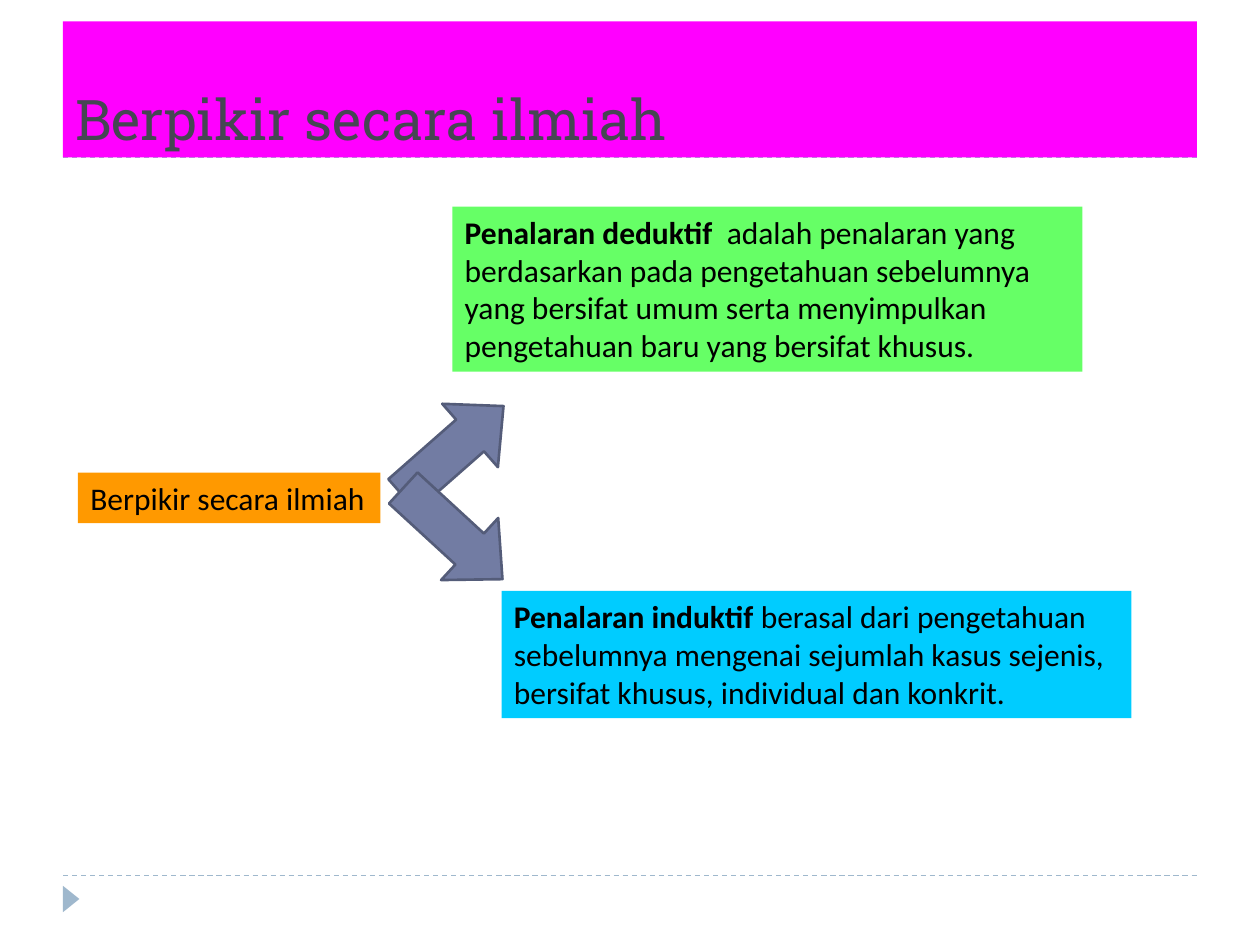
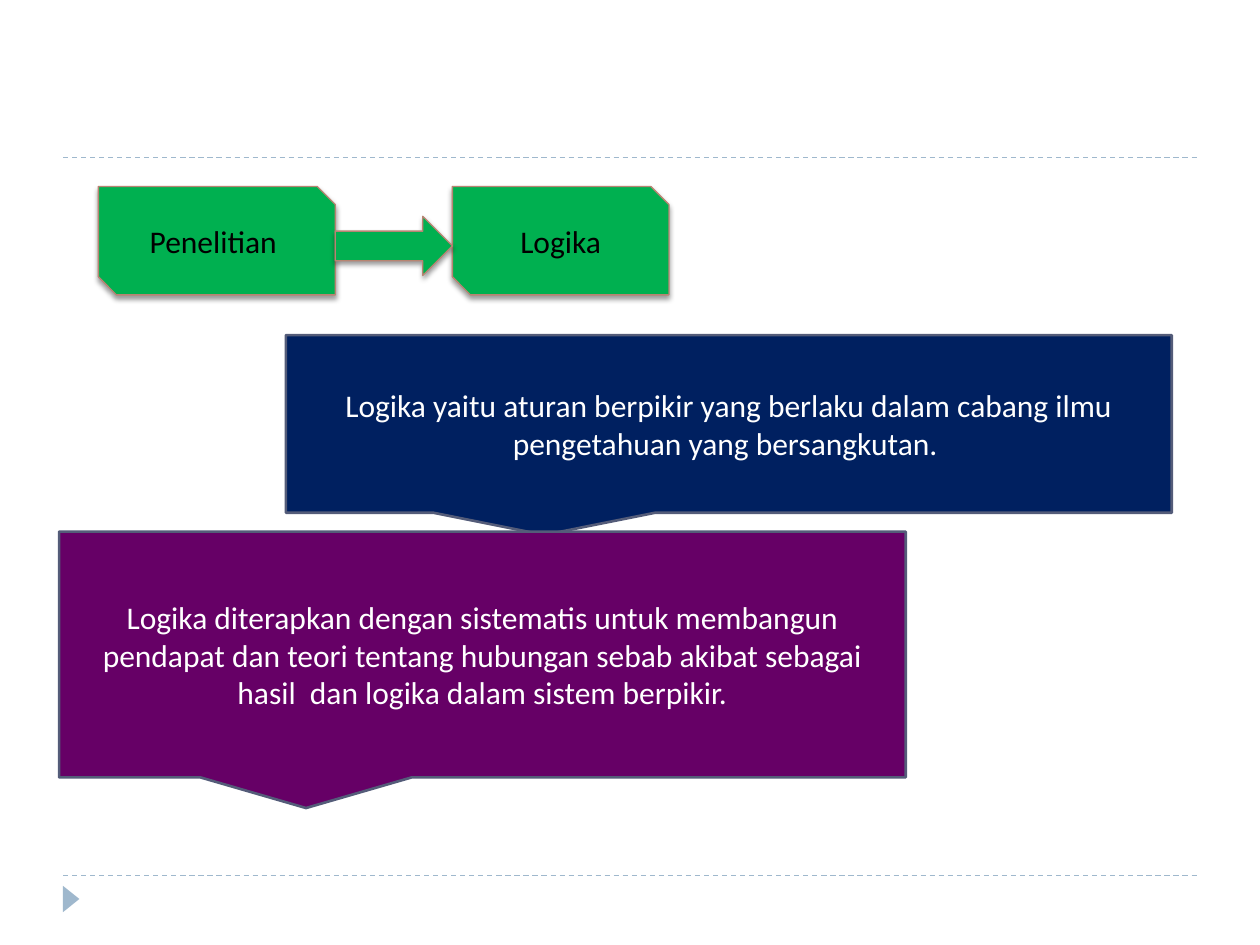
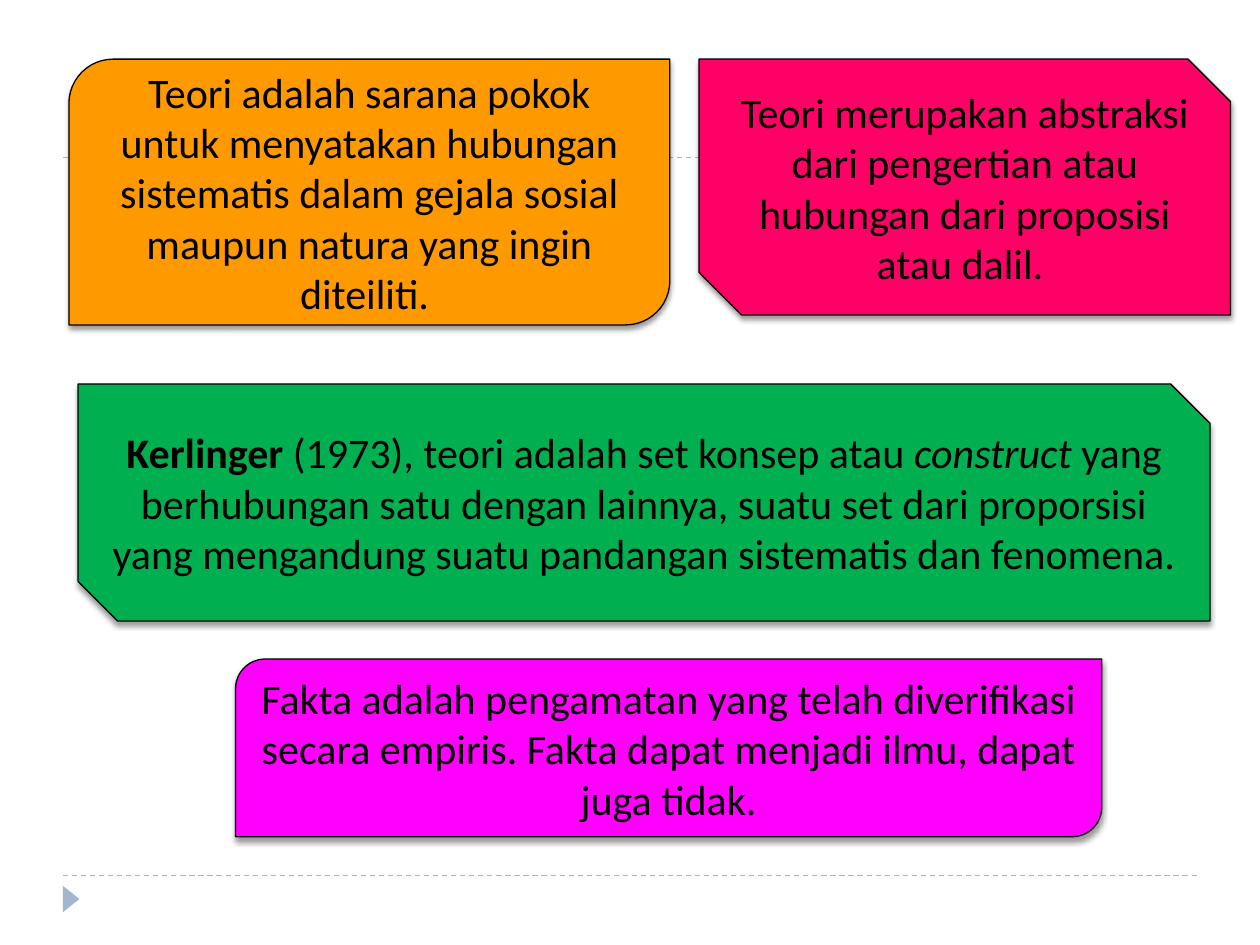
from lxml import etree
from pptx import Presentation
from pptx import util as u
from pptx.dml.color import RGBColor
from pptx.enum import dml, shapes, text
from pptx.oxml import ns

SHAPE = shapes.MSO_SHAPE
BODY_FONT, TITLE_FONT = "Calibri", "Roboto Slab"
BLACK, WHITE, GREEN, MAGENTA = "000000", "FFFFFF", "00B050", "FF00FF"
ACCENT, SLATE, SLATE_EDGE, BROWN = "9FB8CD", "727CA3", "545C79", "B88472"

# Shared frame
LEFT, RIGHT = 36, 684
RULES = (500.4, 90)
MARKER = (33.1, 509, 15.1, 9.4)

# Slide 1: text is a list of (words, style) runs, style "b" or "i"
TITLE = ("Berpikir secara ilmiah", (36, 12.2, 648, 77.8))
REASONING = [
    ([("Berpikir secara ilmiah", "")], (44.6, 270, 172.8, 29), "FF9900", False),
    ([("Penalaran deduktif ", "b"),
      (" adalah penalaran yang berdasarkan pada pengetahuan sebelumnya yang bersifat umum "
       "serta menyimpulkan pengetahuan baru yang bersifat khusus.", "")],
     (258.5, 118.1, 360, 94.3), "66FF66", True),
    ([("Penalaran induktif ", "b"),
      ("berasal dari pengetahuan sebelumnya mengenai sejumlah kasus sejenis, bersifat "
       "khusus, individual dan konkrit.", "")],
     (286.6, 337.7, 360, 72.7), "00CCFF", True),
]
BRANCHES = [(218.9, 228.7), (266.4, 312.6)]  # top, rotation

# Slide 2
FLOW_TOP, FLOW_HEIGHT = 106.6, 61.9
FLOW = [("Penelitian ", 56.2, 135.4), ("Logika", 258.5, 123.8)]
FLOW_ARROW_HEIGHT = 33.8
CALLOUTS = [
    ("Logika yaitu aturan berpikir yang berlaku dalam cabang ilmu pengetahuan yang "
     "bersangkutan. ", (163.4, 191.5, 506.2, 101.5), "002060"),
    ("Logika diterapkan dengan sistematis untuk membangun pendapat dan teori tentang "
     "hubungan sebab akibat sebagai hasil  dan logika dalam sistem berpikir.",
     (33.8, 303.8, 483.8, 140.4), "660066"),
]

# Slide 3
ROUND, SNIP = SHAPE.ROUND_2_DIAG_RECTANGLE, SHAPE.SNIP_2_DIAG_RECTANGLE
THEORIES = [
    (ROUND, (39.4, 33.8, 343.4, 151.9), "FF9900",
     [("Teori adalah sarana pokok untuk menyatakan hubungan sistematis dalam gejala sosial "
       "maupun natura yang ingin diteiliti. ", "")]),
    (SNIP, (399.4, 33.8, 303.8, 146.2), "FF0066",
     [("Teori merupakan abstraksi dari pengertian atau hubungan dari proposisi atau dalil. ", "")]),
    (SNIP, (44.6, 219.4, 646.9, 135.4), GREEN,
     [("Kerlinger ", "b"), ("(1973), teori adalah set konsep atau ", ""), ("construct", "i"),
      (" yang berhubungan satu dengan lainnya, suatu set dari proporsisi yang mengandung "
       "suatu pandangan sistematis dan fenomena. ", "")]),
    (ROUND, (134.6, 376.6, 495, 101.5), MAGENTA,
     [("Fakta adalah pengamatan yang telah diverifikasi secara empiris. Fakta dapat menjadi "
       "ilmu, dapat juga tidak.", "")]),
]


def color(hex_value):
    return RGBColor.from_string(hex_value)


def points(*values):
    return [u.Pt(value) for value in values]


def write(shape, runs, size=18, ink=BLACK, font=BODY_FONT, align=text.PP_ALIGN.CENTER,
          anchor=text.MSO_ANCHOR.MIDDLE, wrap=True):
    frame = shape.text_frame
    frame.word_wrap = wrap
    frame.vertical_anchor = anchor
    paragraph = frame.paragraphs[0]
    paragraph.alignment = align
    for words, style in runs:
        run = paragraph.add_run()
        run.text = words
        run.font.name, run.font.size = font, u.Pt(size)
        run.font.color.rgb = color(ink)
        run.font.bold, run.font.italic = style == "b", style == "i"


def add_box(slide, kind, box, fill, line=None, width=0.75, shadow=False):
    shape = slide.shapes.add_shape(kind, *points(*box))
    shape.fill.solid()
    shape.fill.fore_color.rgb = color(fill)
    if line:
        shape.line.color.rgb = color(line)
        shape.line.width = u.Pt(width)
    else:
        shape.line.fill.background()
    shape.shadow.inherit = False
    if shadow:
        effects = shape._element.spPr.find(ns.qn("a:effectLst"))
        outer = etree.SubElement(effects, ns.qn("a:outerShdw"), blurRad=str(u.Pt(3)),
                                 dist=str(u.Pt(2)), dir="5400000", rotWithShape="0")
        tint = etree.SubElement(outer, ns.qn("a:srgbClr"), val=BLACK)
        etree.SubElement(tint, ns.qn("a:alpha"), val="40000")
    return shape


def add_slide(presentation):
    slide = presentation.slides.add_slide(presentation.slide_layouts[6])
    for y in RULES:
        rule = slide.shapes.add_connector(shapes.MSO_CONNECTOR.STRAIGHT,
                                          *points(LEFT, y, RIGHT, y))
        rule.line.color.rgb = color(ACCENT)
        rule.line.width = u.Pt(0.75)
        rule.line.dash_style = dml.MSO_LINE.DASH
        etree.SubElement(rule._element.spPr, ns.qn("a:effectLst"))
    add_box(slide, SHAPE.ISOSCELES_TRIANGLE, MARKER, ACCENT).rotation = 90
    return slide


def build_reasoning(slide):
    words, box = TITLE
    title = add_box(slide, SHAPE.RECTANGLE, box, MAGENTA)
    write(title, [(words, "")], 32, "464653", TITLE_FONT, text.PP_ALIGN.LEFT,
          text.MSO_ANCHOR.BOTTOM)
    for runs, box, fill, wrap in REASONING:
        panel = add_box(slide, SHAPE.RECTANGLE, box, fill)
        write(panel, runs, align=text.PP_ALIGN.LEFT, anchor=text.MSO_ANCHOR.TOP, wrap=wrap)
        panel.text_frame.auto_size = text.MSO_AUTO_SIZE.SHAPE_TO_FIT_TEXT
    for top, angle in BRANCHES:
        arrow = add_box(slide, SHAPE.DOWN_ARROW, (234.7, top, 48.2, 77), SLATE, SLATE_EDGE, 1.5)
        arrow.adjustments[1] = 0.528
        arrow.rotation = angle


def build_logic(slide):
    for words, left, width in FLOW:
        step = add_box(slide, SNIP, (left, FLOW_TOP, width, FLOW_HEIGHT), GREEN, BROWN,
                       shadow=True)
        write(step, [(words, "")])
    # The arrow fills the gap between the two steps
    start = FLOW[0][1] + FLOW[0][2]
    top = FLOW_TOP + FLOW_HEIGHT / 2 + 3 - FLOW_ARROW_HEIGHT / 2
    add_box(slide, SHAPE.RIGHT_ARROW, (start, top, FLOW[1][1] - start, FLOW_ARROW_HEIGHT),
            GREEN, BROWN, shadow=True)
    for words, box, fill in CALLOUTS:
        callout = add_box(slide, SHAPE.RECTANGULAR_CALLOUT, box, fill, SLATE_EDGE, 1.5)
        write(callout, [(words, "")], ink=WHITE)


def build_theories(slide):
    for kind, box, fill, runs in THEORIES:
        write(add_box(slide, kind, box, fill, BLACK, shadow=True), runs, 24)


def main():
    presentation = Presentation()
    presentation.slide_width, presentation.slide_height = points(720, 540)
    for build in (build_reasoning, build_logic, build_theories):
        build(add_slide(presentation))
    presentation.save("out.pptx")


if __name__ == "__main__":
    main()
